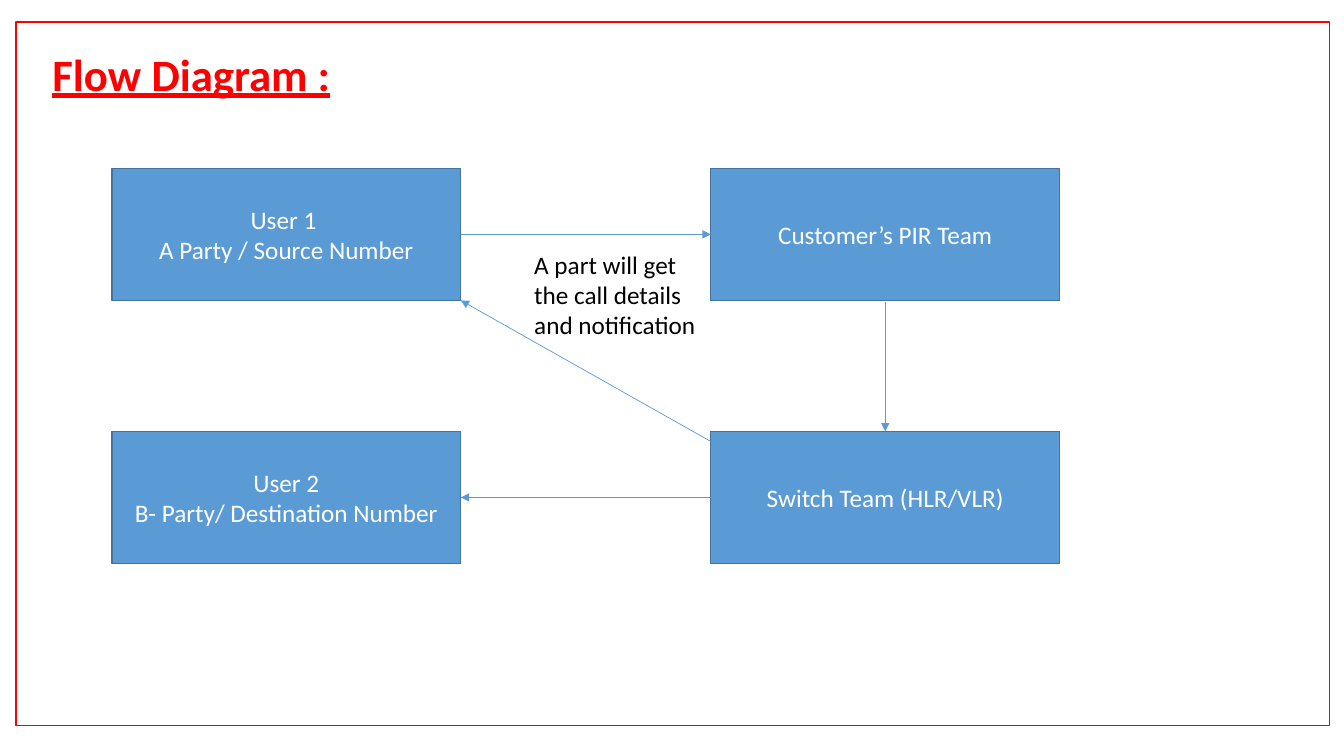
import pptx
import pptx.util
import pptx.dml.color
import pptx.enum.shapes
import pptx.enum.text
import pptx.oxml.ns
from lxml import etree

SLIDE_W, SLIDE_H = 13.33, 7.5
BLUE, NAVY, RED = "5B9BD5", "43739E", "FF0000"
BOX_W, BOX_H = 3.46, 1.31
COL_STEP, ROW_STEP = 5.94, 2.61
ALIGN = pptx.enum.text.PP_ALIGN
ANCHOR = pptx.enum.text.MSO_ANCHOR
RECT = pptx.enum.shapes.MSO_SHAPE.RECTANGLE


def inches(*lengths):
    return [pptx.util.Inches(n) for n in lengths]


def rgb(value):
    return pptx.dml.color.RGBColor.from_string(value)


def write(sp, lines, color, align, anchor, **fmt):
    tf = sp.text_frame
    tf.word_wrap = True
    tf.auto_size = pptx.enum.text.MSO_AUTO_SIZE.NONE
    tf.vertical_anchor = anchor
    for i, line in enumerate(lines):
        p = tf.add_paragraph() if i else tf.paragraphs[0]
        p.alignment = align
        r = p.add_run()
        r.text = line
        r.font.color.rgb = rgb(color)
        for name, value in ({"name": "Calibri", "size": pptx.util.Pt(18)} | fmt).items():
            setattr(r.font, name, value)


def add_rect(s, box, line, fill=None):
    sp = s.shapes.add_shape(RECT, *inches(*box))
    sp.shadow.inherit = False
    if fill:
        sp.fill.solid()
        sp.fill.fore_color.rgb = rgb(fill)
    else:
        sp.fill.background()
    sp.line.color.rgb = rgb(line)
    sp.line.width = pptx.util.Pt(1)
    return sp


def add_arrow(s, start, end):
    cx = s.shapes.add_connector(
        pptx.enum.shapes.MSO_CONNECTOR.STRAIGHT, *inches(*start, *end))
    cx.line.color.rgb = rgb(BLUE)
    cx.line.width = pptx.util.Pt(0.5)
    ln = cx.line._get_or_add_ln()
    etree.SubElement(ln, pptx.oxml.ns.qn("a:tailEnd"), type="triangle")
    etree.SubElement(cx._element.spPr, pptx.oxml.ns.qn("a:effectLst"))


def add_title(s, box, text):
    sp = s.shapes.title
    sp.left, sp.top, sp.width, sp.height = inches(*box)
    write(sp, [text], RED, ALIGN.LEFT, ANCHOR.TOP,
          size=pptx.util.Pt(32), bold=True, underline=True)


def add_flow(s, left, top):
    right, bottom = left + COL_STEP, top + ROW_STEP
    edge, middle = left + BOX_W, BOX_H / 2
    nodes = [
        (0, 0, ["User 1 ", "A Party / Source Number"]),
        (1, 0, ["Customer’s PIR Team"]),
        (0, 1, ["User 2", "B- Party/ Destination Number"]),
        (1, 1, ["Switch Team (HLR/VLR)"]),
    ]
    for col, row, lines in nodes:
        box = (left + col * COL_STEP, top + row * ROW_STEP, BOX_W, BOX_H)
        write(add_rect(s, box, NAVY, BLUE), lines, "FFFFFF", ALIGN.CENTER, ANCHOR.MIDDLE)

    center = right + BOX_W / 2
    arrows = [
        ((right, bottom + middle), (edge, bottom + middle)),
        ((right, bottom + 0.1), (edge, top + BOX_H)),
        ((edge, top + middle), (right, top + middle)),
        ((center, top + BOX_H + 0.02), (center, bottom)),
    ]
    for start, end in arrows:
        add_arrow(s, start, end)

    label = s.shapes.add_textbox(*inches(left + 4.09, top + 0.75, 1.99, 1.01))
    write(label, ["A part will get the call details and notification"],
          "000000", ALIGN.LEFT, ANCHOR.TOP)


def main():
    prs = pptx.Presentation()
    prs.slide_width, prs.slide_height = inches(SLIDE_W, SLIDE_H)
    s = prs.slides.add_slide(prs.slide_layouts[5])
    add_title(s, (0.42, 0.41, 3.42, 0.64), "Flow Diagram :")
    add_flow(s, 1.11, 1.67)
    add_rect(s, (0.16, 0.22, 13.03, 6.98), RED)
    prs.save("out.pptx")


if __name__ == "__main__":
    main()
